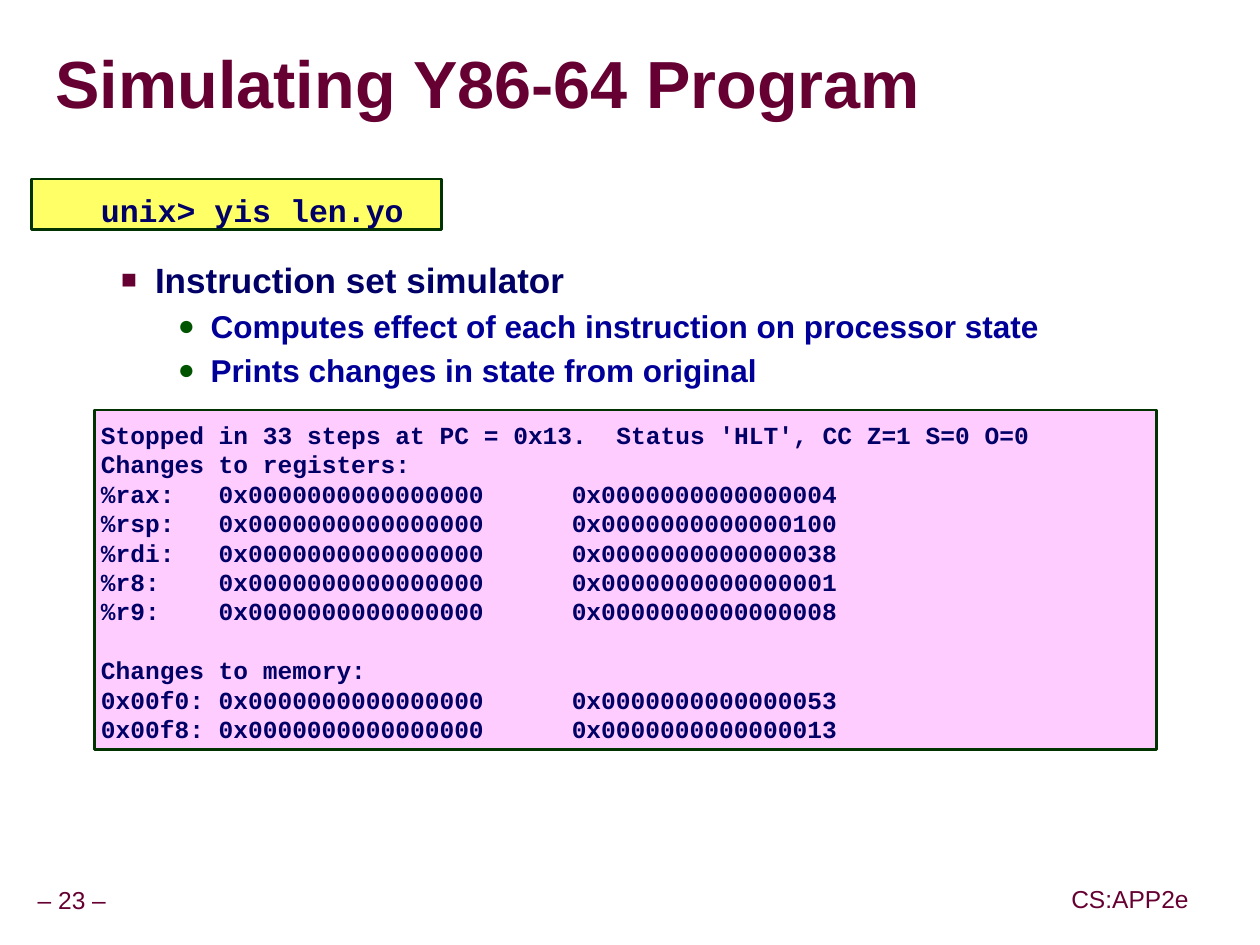
import pptx
import pptx.util
import pptx.dml.color
import pptx.enum.shapes
import pptx.enum.text
import pptx.oxml
import pptx.oxml.ns

Pt = pptx.util.Pt
Align = pptx.enum.text.PP_ALIGN
Anchor = pptx.enum.text.MSO_ANCHOR

COLORS = {
    "wine": "660033", "navy": "000066", "blue": "000099", "leaf": "005400",
    "edge": "003300", "yellow": "FFFF66", "pink": "FFCCFF",
}
TITLE = "Simulating Y86-64 Program"
POINTS = [
    (0, "Instruction set simulator"),
    (1, "Computes effect of each instruction on processor state"),
    (1, "Prints changes in state from original"),
]
LEVELS = [
    dict(size=20, color="navy", left=58.3, hang=19.4, mark="■", tint="wine", scale=75, gap=1.6, lead=1),
    dict(size=18, color="blue", left=90, hang=18.7, mark="●", tint="leaf", scale=90, gap=2, lead=1.07),
]
COMMAND = "unix> yis len.yo"
STATUS = "Stopped in 33 steps at PC = 0x13.  Status 'HLT', CC Z=1 S=0 O=0"
ZERO = "0x0000000000000000"
GROUPS = [
    ("Changes to registers:", [
        ("%rax:", "0x0000000000000004"),
        ("%rsp:", "0x0000000000000100"),
        ("%rdi:", "0x0000000000000038"),
        ("%r8:", "0x0000000000000001"),
        ("%r9:", "0x0000000000000008"),
    ]),
    ("Changes to memory:", [
        ("0x00f0:", "0x0000000000000053"),
        ("0x00f8:", "0x0000000000000013"),
    ]),
]
FOOTERS = [
    ("– 23 –", (17.3, 503.3, 47.5, 22.3)),
    ("CS:APP2e", (607.7, 502.6, 74.9, 22.3)),
]
PITCH = 16.8
STOPS = [8 * 8.4, 32 * 8.4]


def rgb(name):
    return pptx.dml.color.RGBColor.from_string(COLORS[name])


def style(par, face, size, color, bold=True):
    for run in par.runs:
        run.font.name = face
        run.font.size = Pt(size)
        run.font.bold = bold
        run.font.color.rgb = rgb(color)


def place(shape, box):
    shape.left, shape.top, shape.width, shape.height = map(Pt, box)


def inset(frame, left, top, right, bottom):
    frame.margin_left, frame.margin_top = Pt(left), Pt(top)
    frame.margin_right, frame.margin_bottom = Pt(right), Pt(bottom)


def attach(node, xml):
    space = pptx.oxml.ns.nsdecls("a")
    node.append(pptx.oxml.parse_xml(xml.replace(">", f" {space}>", 1)))


def panel(slide, box, fill, top):
    shape = slide.shapes.add_shape(pptx.enum.shapes.MSO_SHAPE.RECTANGLE, *map(Pt, box))
    shape.shadow.inherit = False
    shape.fill.solid()
    shape.fill.fore_color.rgb = rgb(fill)
    shape.line.color.rgb = rgb("edge")
    shape.line.width = Pt(1.5)
    frame = shape.text_frame
    frame.word_wrap = True
    frame.vertical_anchor = Anchor.TOP
    inset(frame, 3.6, top, 3.6, 3.6)
    return frame


def add_title(slide):
    shape = slide.shapes.title
    place(shape, (31.7, 19.4, 685.4, 61.2))
    frame = shape.text_frame
    frame.text = TITLE
    frame.auto_size = pptx.enum.text.MSO_AUTO_SIZE.NONE
    frame.vertical_anchor = Anchor.MIDDLE
    inset(frame, 0, 0, 0, 0)
    par = frame.paragraphs[0]
    par.alignment = Align.LEFT
    par.line_spacing = 0.87
    style(par, "Arial", 38, "wine")
    props = par.runs[0].font.fill._xPr
    glow = pptx.oxml.parse_xml(
        f'<a:effectLst {pptx.oxml.ns.nsdecls("a")}>'
        '<a:outerShdw dist="38100" dir="2700000"><a:srgbClr val="969696"/></a:outerShdw>'
        '</a:effectLst>')
    props.find(pptx.oxml.ns.qn("a:solidFill")).addnext(glow)


def add_points(slide):
    shape = slide.placeholders[1]
    place(shape, (23, 144, 653, 362))
    frame = shape.text_frame
    frame.text = "\n".join(text for _, text in POINTS)
    frame.auto_size = pptx.enum.text.MSO_AUTO_SIZE.NONE
    frame.vertical_anchor = Anchor.TOP
    inset(frame, 7.2, 3.6, 7.2, 3.6)
    for par, (level, _) in zip(frame.paragraphs, POINTS):
        look = LEVELS[level]
        par.level = level
        par.space_before = Pt(look["gap"])
        par.line_spacing = look["lead"]
        style(par, "Arial", look["size"], look["color"])
        props = par._p.get_or_add_pPr()
        props.set("marL", str(Pt(look["left"])))
        props.set("indent", str(-Pt(look["hang"])))
        attach(props, f'<a:buClr><a:srgbClr val="{COLORS[look["tint"]]}"/></a:buClr>')
        attach(props, f'<a:buSzPct val="{look["scale"] * 1000}"></a:buSzPct>')
        attach(props, '<a:buFont typeface="Arial"></a:buFont>')
        attach(props, f'<a:buChar char="{look["mark"]}"></a:buChar>')


def add_command(slide):
    frame = panel(slide, (18, 102.2, 234, 28.8), "yellow", 6.7)
    frame.text = COMMAND
    par = frame.paragraphs[0]
    par.alignment = Align.LEFT
    par._p.get_or_add_pPr().set("marL", str(Pt(36)))
    style(par, "Courier New", 18, "navy")


def add_output(slide):
    frame = panel(slide, (54, 234, 606.2, 193.7), "pink", 5.5)
    lines = [STATUS]
    for head, rows in GROUPS:
        lines.append(head)
        lines += [f"{name}\t{ZERO}\t{value}" for name, value in rows]
    frame.text = "\n".join(lines)
    tabs = "".join(f'<a:tab pos="{Pt(stop)}" algn="l"/>' for stop in STOPS)
    for par in frame.paragraphs:
        par.alignment = Align.LEFT
        par.line_spacing = Pt(PITCH)
        if par.text == GROUPS[1][0]:
            par.space_before = Pt(PITCH)
        style(par, "Courier New", 14, "navy")
        attach(par._p.get_or_add_pPr(), f"<a:tabLst>{tabs}</a:tabLst>")


def add_footers(slide):
    for text, box in FOOTERS:
        frame = slide.shapes.add_textbox(*map(Pt, box)).text_frame
        frame.text = text
        frame.word_wrap = False
        frame.vertical_anchor = Anchor.MIDDLE
        inset(frame, 3.6, 3.6, 3.6, 3.6)
        par = frame.paragraphs[0]
        par.alignment = Align.CENTER
        par.line_spacing = 0.9
        style(par, "Arial", 14, "wine", False)


def main():
    deck = pptx.Presentation()
    deck.slide_width, deck.slide_height = Pt(719.28), Pt(539.28)
    slide = deck.slides.add_slide(deck.slide_layouts[1])
    add_footers(slide)
    add_title(slide)
    add_points(slide)
    add_command(slide)
    add_output(slide)
    deck.save("out.pptx")


if __name__ == "__main__":
    main()
